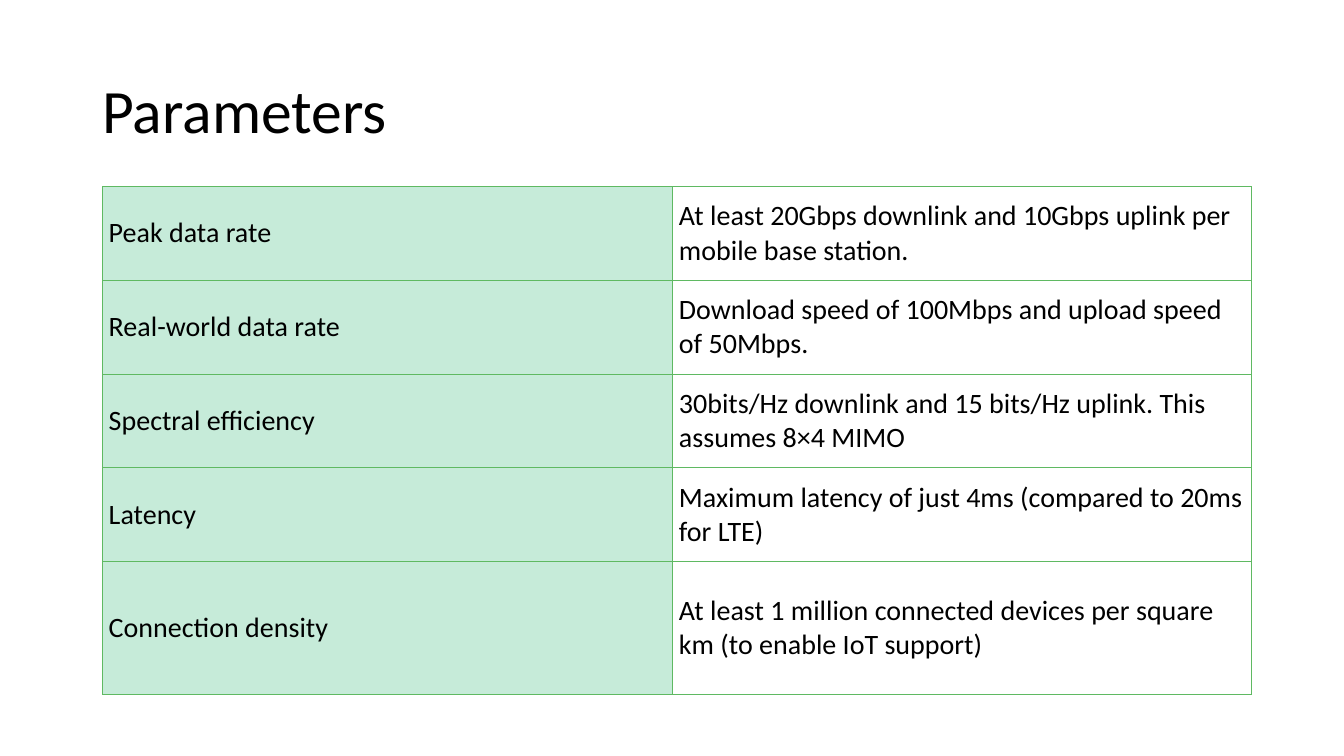
"""Build the Parameters slide: a title above a two-column table of targets."""
from lxml.etree import SubElement as Sub
from pptx import Presentation
from pptx.dml.color import RGBColor as RGB
from pptx.enum.text import MSO_ANCHOR as Anchor, PP_ALIGN as Align
from pptx.oxml.ns import qn
from pptx.util import Pt

FONT = "Calibri"
COLORS = {"text": "000000", "label": "C6EBD9", "value": "FFFFFF", "line": "5FB962"}
ROWS = [
    ("Peak data rate",
     "At least 20Gbps downlink and 10Gbps uplink per mobile base station."),
    ("Real-world data rate",
     "Download speed of 100Mbps and upload speed of 50Mbps."),
    ("Spectral efficiency",
     "30bits/Hz downlink and 15 bits/Hz uplink. This assumes 8×4 MIMO"),
    ("Latency",
     "Maximum latency of just 4ms (compared to 20ms for LTE)"),
    ("Connection density",
     "At least 1 million connected devices per square km (to enable IoT support)"),
]
WIDTHS = [406.8, 414]
HEIGHTS = [67] * 4 + [95]
KINDS = ["label", "value"]
PADS = {"label": (4.5, 4.5), "value": (5, 7.2)}


def add_run(para, text, size):
    run = para.add_run()
    run.text = text
    run.font.name = FONT
    run.font.size = Pt(size)
    run.font.bold = False
    run.font.color.rgb = RGB.from_string(COLORS["text"])


def add_title(slide, text):
    title = slide.shapes.title
    title.left, title.top = Pt(66), Pt(28.8)
    title.width, title.height = Pt(828), Pt(104.4)
    title.text_frame.vertical_anchor = Anchor.MIDDLE
    para = title.text_frame.paragraphs[0]
    para.alignment = Align.LEFT
    para.line_spacing = 0.9
    add_run(para, text, 44)


def set_lines(cell):
    props = cell._tc.get_or_add_tcPr()
    for side in ("lnL", "lnR", "lnT", "lnB"):
        line = Sub(props, qn(f"a:{side}"), w=str(Pt(0.5)))
        fill = Sub(line, qn("a:solidFill"))
        Sub(fill, qn("a:srgbClr"), val=COLORS["line"])


def fill_cell(cell, text, kind):
    set_lines(cell)
    cell.fill.solid()
    cell.fill.fore_color.rgb = RGB.from_string(COLORS[kind])
    cell.vertical_anchor = Anchor.MIDDLE
    side, end = PADS[kind]
    cell.margin_left = cell.margin_right = Pt(side)
    cell.margin_top = cell.margin_bottom = Pt(end)
    add_run(cell.text_frame.paragraphs[0], text, 20)


def add_grid(slide, rows):
    frame = slide.shapes.add_table(
        len(rows), len(WIDTHS), Pt(73.2), Pt(133.2), Pt(sum(WIDTHS)), Pt(sum(HEIGHTS)))
    table = frame.table
    table.first_row = table.horz_banding = False
    for col, width in zip(table.columns, WIDTHS):
        col.width = Pt(width)
    for row, height, texts in zip(table.rows, HEIGHTS, rows):
        row.height = Pt(height)
        for cell, text, kind in zip(row.cells, texts, KINDS):
            fill_cell(cell, text, kind)


def main():
    deck = Presentation()
    deck.slide_width, deck.slide_height = Pt(960), Pt(540)
    slide = deck.slides.add_slide(deck.slide_layouts[5])
    add_title(slide, "Parameters")
    add_grid(slide, ROWS)
    deck.save("out.pptx")


if __name__ == "__main__":
    main()
